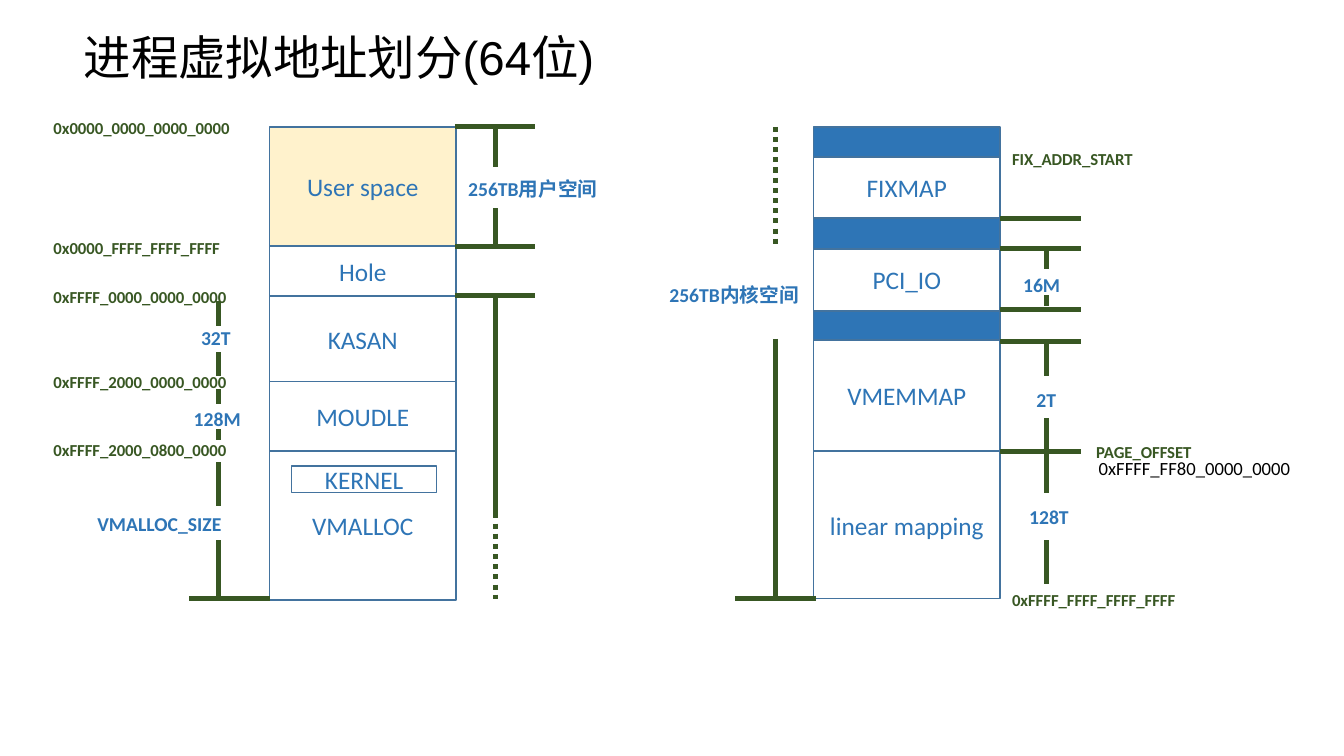
from itertools import pairwise
from pptx import Presentation
from pptx.dml.color import RGBColor
from pptx.enum.dml import MSO_LINE_DASH_STYLE as DASH
from pptx.enum.shapes import MSO_CONNECTOR as CONNECTOR, MSO_SHAPE as SHAPE
from pptx.enum.text import MSO_ANCHOR as ANCHOR, PP_ALIGN as ALIGN
from pptx.oxml.ns import qn
from pptx.util import Inches, Pt
from lxml import etree

BLUE, GREEN, CREAM, OUTLINE, BLACK = "2E75B6", "385723", "FFF2CC", "43739E", "000000"
TITLE = "进程虚拟地址划分(64位)"
REGION_WIDTH, TICK_LENGTH = 1.53, 0.66

STACKS = [
    (2.21, [1.04, 2.02, 2.43, 3.13, 3.7, 4.92],
     [("User space", CREAM), ("Hole", None), ("KASAN", None), ("MOUDLE", None),
      ("VMALLOC", None)]),
    (6.67, [1.04, 1.29, 1.79, 2.04, 2.55, 2.79, 3.7, 4.91],
     [("", BLUE), ("FIXMAP", None), ("", BLUE), ("PCI_IO", None), ("", BLUE),
      ("VMEMMAP", None), ("linear mapping", None)]),
]
KERNEL = ("KERNEL", 2.39, 3.82, 1.19, 0.22)

TICKS = {3.73: [1.04, 2.02, 2.42], 1.55: [4.91], 6.03: [4.91],
         8.2: [1.79, 2.04, 2.54, 2.8, 3.7]}
SPANS = {
    4.06: [(1.04, 1.37), (1.71, 2.02), (2.42, 4.21)],
    6.36: [(2.78, 4.91)],
    1.79: [(2.47, 2.67), (2.89, 3.08), (3.19, 3.31), (3.52, 3.61), (3.79, 4.15),
           (4.43, 4.91)],
    8.58: [(2.04, 2.21), (2.42, 2.51), (2.79, 3.08), (3.43, 3.7), (3.7, 4.04),
           (4.43, 4.79)],
}
DOTTED_SPANS = {4.06: [(4.21, 4.91)], 6.36: [(1.04, 2.02)]}

ADDRESSES = [
    ("0x0000_0000_0000_0000", 0.34, 0.92, 1.9),
    ("0x0000_FFFF_FFFF_FFFF", 0.34, 1.9, 1.9),
    ("0xFFFF_0000_0000_0000", 0.34, 2.3, 1.9),
    ("0xFFFF_2000_0000_0000", 0.34, 3.0, 1.9),
    ("0xFFFF_2000_0800_0000", 0.34, 3.56, 1.9),
    ("0xFFFF_FFFF_FFFF_FFFF", 8.2, 4.79, 1.9),
    ("FIX_ADDR_START", 8.2, 1.17, 1.49),
    ("PAGE_OFFSET", 8.89, 3.57, 1.49),
]
WRAPPED_SIZES = [
    ("256TB用户空间", 3.74, 1.4, 1.27),
    ("256TB内核空间", 5.39, 2.27, 1.27),
    ("VMALLOC_SIZE", 0.7, 4.15, 1.41),
]
SHORT_SIZES = [
    ("32T", 1.55, 2.62, 0.45),
    ("128M", 1.49, 3.29, 0.59),
    ("16M", 8.29, 2.19, 0.51),
    ("2T", 8.4, 3.13, 0.36),
    ("128T", 8.34, 4.09, 0.53),
]
OFFSET_VALUE = ("0xFFFF_FF80_0000_0000", 8.91, 3.7, 1.79)


def color(value):
    return RGBColor.from_string(value)


def write(box, text, size, ink, bold=False, font="Calibri", align=ALIGN.LEFT):
    box.text_frame.text = text
    para = box.text_frame.paragraphs[0]
    para.alignment = align
    for span in para.runs:
        span.font.name = font
        span.font.size = Pt(size)
        span.font.bold = bold
        span.font.color.rgb = color(ink)


def add_region(text, left, top, width, height, fill=None):
    box = page.shapes.add_shape(SHAPE.RECTANGLE, Inches(left), Inches(top),
                                Inches(width), Inches(height))
    box.shadow.inherit = False
    if fill:
        box.fill.solid()
        box.fill.fore_color.rgb = color(fill)
    else:
        box.fill.background()
    box.line.color.rgb = color(OUTLINE)
    box.line.width = Pt(1)
    box.text_frame.vertical_anchor = ANCHOR.MIDDLE
    if text:
        write(box, text, 14.9, BLUE, align=ALIGN.CENTER)


def add_label(text, left, top, width, size, ink, bold=True, wrap=True, height=0.3):
    box = page.shapes.add_textbox(Inches(left), Inches(top), Inches(width), Inches(height))
    box.text_frame.word_wrap = wrap
    write(box, text, size, ink, bold)
    return box


def add_line(x1, y1, x2, y2, dash=None):
    line = page.shapes.add_connector(CONNECTOR.STRAIGHT, Inches(x1), Inches(y1),
                                     Inches(x2), Inches(y2))
    line.line.color.rgb = color(GREEN)
    line.line.width = Pt(3)
    if dash:
        line.line.dash_style = dash
    etree.SubElement(line._element.spPr, qn("a:effectLst"))


deck = Presentation()
deck.slide_width, deck.slide_height = Inches(11.02), Inches(6.2)
page = deck.slides.add_slide(deck.slide_layouts[6])

heading = page.shapes.add_textbox(Inches(0.55), Inches(0.25), Inches(4.46), Inches(0.43))
frame = heading.text_frame
frame.word_wrap = True
frame.vertical_anchor = ANCHOR.MIDDLE
frame.margin_left = frame.margin_right = frame.margin_top = frame.margin_bottom = 0
write(heading, TITLE, 28, BLACK, font="Arial", align=ALIGN.CENTER)

for left, edges, regions in STACKS:
    for (top, bottom), (name, fill) in zip(pairwise(edges), regions):
        add_region(name, left, top, REGION_WIDTH, bottom - top, fill)
add_region(*KERNEL)

for left, levels in TICKS.items():
    for level in levels:
        add_line(left, level, left + TICK_LENGTH, level)
for spans, dash in ((SPANS, None), (DOTTED_SPANS, DASH.ROUND_DOT)):
    for x, ranges in spans.items():
        for top, bottom in ranges:
            add_line(x, top, x, bottom, dash)

for address in ADDRESSES:
    add_label(*address, 9.9, GREEN, height=0.27)
for label in WRAPPED_SIZES:
    add_label(*label, 11.6, BLUE)
for label in SHORT_SIZES:
    add_label(*label, 11.6, BLUE, wrap=False)
add_label(*OFFSET_VALUE, 11, BLACK, bold=False, wrap=False)

deck.save("out.pptx")
